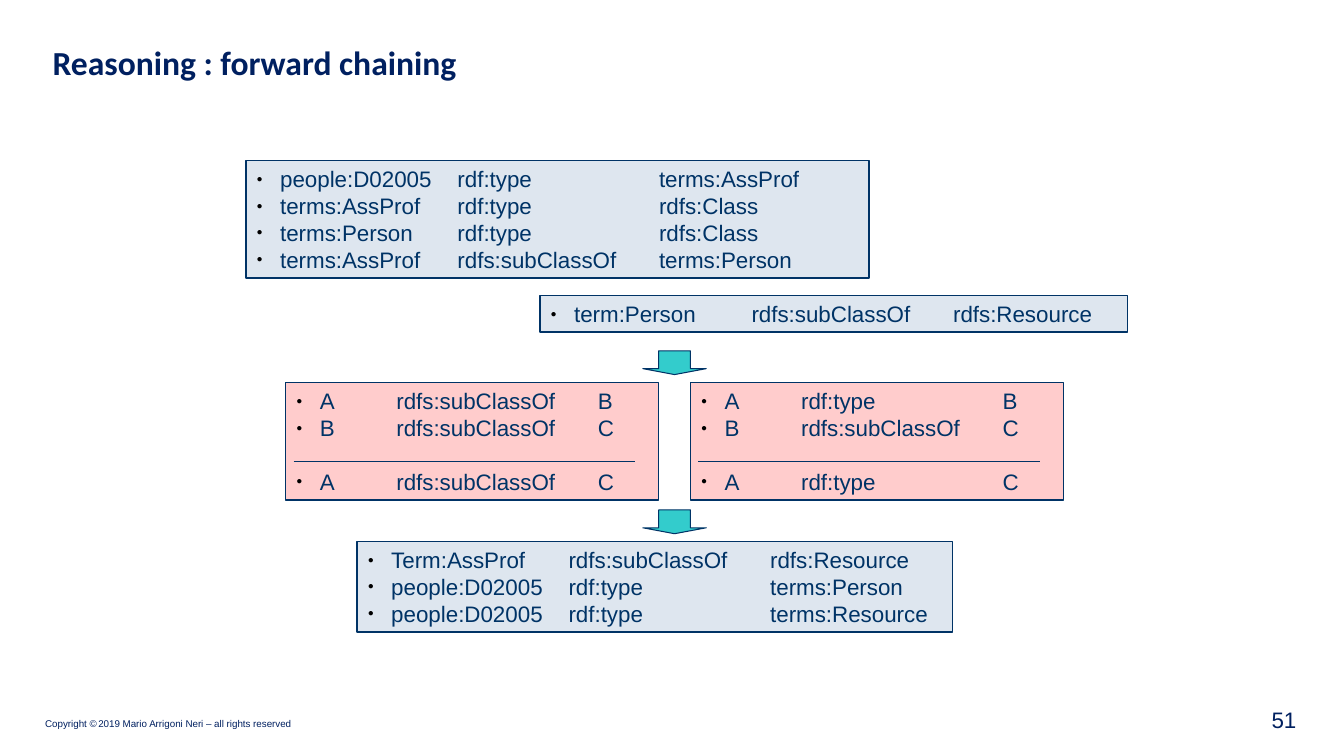
from lxml import etree
from pptx import Presentation
from pptx.dml.color import RGBColor
from pptx.enum.shapes import MSO_CONNECTOR, MSO_SHAPE
from pptx.enum.text import MSO_ANCHOR as ANCHOR, MSO_AUTO_SIZE as AUTO, PP_ALIGN as ALIGN
from pptx.oxml.ns import qn
from pptx.util import Cm, Pt

# Content: all lengths in cm
TITLE = "Reasoning : forward chaining"
FOOTER = [("Copyright ©", 7), (" ", 4), ("2019 Mario Arrigoni Neri – all rights reserved", 7)]
PAGE = "51"
NAVY, INK, BLUE, PINK, TEAL = "002060", "003366", "DEE6EF", "FFCCCC", "33CCCC"

# Triples: left, top, width, lines
TRIPLES = [
    (6.2, 4.04, 15.7, [
        "people:D02005\trdf:type\t\tterms:AssProf",
        "terms:AssProf\trdf:type\t\trdfs:Class",
        "terms:Person\trdf:type\t\trdfs:Class",
        "terms:AssProf\trdfs:subClassOf\tterms:Person"]),
    (13.61, 7.44, 14.8, ["term:Person\trdfs:subClassOf\trdfs:Resource"]),
    (9.0, 13.64, 15.0, [
        "Term:AssProf\trdfs:subClassOf\trdfs:Resource",
        "people:D02005\trdf:type\t\tterms:Person",
        "people:D02005\trdf:type\t\tterms:Resource"]),
]
# Rules: two premises, then the conclusion
RULES = [
    (7.2, ["A\trdfs:subClassOf\tB", "B\trdfs:subClassOf\tC", "A\trdfs:subClassOf\tC"]),
    (17.4, ["A\trdf:type\t\tB", "B\trdfs:subClassOf\tC", "A\trdf:type\t\tC"]),
]
RULE_TOP, RULE_W = 9.64, 9.4
ARROW_LEFT, ARROW_TOPS = 16.2, [8.84, 12.85]
LINE_PT = 19.2
LINE_CM = LINE_PT / 72 * 2.54

prs = Presentation()
prs.slide_width, prs.slide_height = Cm(33.87), Cm(19.05)
slide = prs.slides.add_slide(prs.slide_layouts[5])
shapes = slide.shapes


def rgb(value):
    return RGBColor.from_string(value)


def style_run(r, size, color=NAVY, font="Arial", bold=False):
    r.font.size, r.font.name, r.font.bold = Pt(size), font, bold
    r.font.color.rgb = rgb(color)


def style_shape(sp, fill, line_pt):
    sp.shadow.inherit = False
    sp.fill.solid()
    sp.fill.fore_color.rgb = rgb(fill)
    sp.line.color.rgb = rgb(INK)
    sp.line.width = Pt(line_pt)


def add_bullet(p):
    pPr = p._p.get_or_add_pPr()
    for name, value in (("marL", Cm(0.61)), ("indent", Cm(-0.59)), ("defTabSz", Cm(2.54))):
        pPr.set(name, str(int(value)))
    color = etree.SubElement(pPr, qn("a:buClr"))
    etree.SubElement(color, qn("a:srgbClr"), val="000000")
    etree.SubElement(pPr, qn("a:buSzPct"), val="45000")
    etree.SubElement(pPr, qn("a:buFont"), typeface="Arial")
    etree.SubElement(pPr, qn("a:buChar"), char="●")


def add_box(left, top, width, lines, fill, gap_before_last=0):
    height = 0.254 + LINE_CM * (len(lines) + gap_before_last)
    sp = shapes.add_shape(MSO_SHAPE.RECTANGLE, Cm(left), Cm(top), Cm(width), Cm(height))
    style_shape(sp, fill, 1)
    tf = sp.text_frame
    tf.word_wrap, tf.vertical_anchor = True, ANCHOR.TOP
    tf.text = "\n".join(lines)
    for p in tf.paragraphs:
        add_bullet(p)
        p.alignment, p.line_spacing = ALIGN.LEFT, Pt(LINE_PT)
        style_run(p.runs[0], 16, INK)
    if gap_before_last:
        tf.paragraphs[-1].space_before = Pt(LINE_PT * gap_before_last)


# Title
title = shapes.title
title.left, title.top, title.width, title.height = Cm(1.07), Cm(0.94), Cm(31.78), Cm(1.65)
tf = title.text_frame
tf.text = TITLE
tf.auto_size, tf.vertical_anchor = AUTO.NONE, ANCHOR.TOP
tf.paragraphs[0].alignment = ALIGN.LEFT
style_run(tf.paragraphs[0].runs[0], 24, font="Calibri", bold=True)

# Known and derived triples
for left, top, width, lines in TRIPLES:
    add_box(left, top, width, lines, BLUE)

# Inference rules, each with a bar above its conclusion
for left, lines in RULES:
    add_box(left, RULE_TOP, RULE_W, lines, PINK, gap_before_last=1)
    y = Cm(RULE_TOP + 1.99)
    bar = shapes.add_connector(MSO_CONNECTOR.STRAIGHT, Cm(left + 0.2), y, Cm(left + 8.8), y)
    bar.line.color.rgb = rgb(INK)
    bar.line.width = Pt(0.75)
    etree.SubElement(bar._element.spPr, qn("a:effectLst"))

# Arrows between the steps
for top in ARROW_TOPS:
    arrow = shapes.add_shape(MSO_SHAPE.DOWN_ARROW, Cm(ARROW_LEFT), Cm(top), Cm(1.6), Cm(0.6))
    arrow.adjustments[0], arrow.adjustments[1] = 0.5, 0.25
    style_shape(arrow, TEAL, 0.75)

# Copyright line
tf = shapes.add_textbox(Cm(1.09), Cm(18.01), Cm(6.32), Cm(0.41)).text_frame
tf.margin_left = tf.margin_right = tf.margin_top = tf.margin_bottom = Cm(0.05)
tf.word_wrap, tf.vertical_anchor = False, ANCHOR.BOTTOM
for text, size in FOOTER:
    r = tf.paragraphs[0].add_run()
    r.text = text
    style_run(r, size)

# Page number
tf = shapes.add_textbox(Cm(31.52), Cm(17.68), Cm(1.4), Cm(0.89)).text_frame
tf.text = PAGE
tf.word_wrap, tf.vertical_anchor = True, ANCHOR.MIDDLE
tf.paragraphs[0].alignment = ALIGN.RIGHT
style_run(tf.paragraphs[0].runs[0], 16)

prs.save("out.pptx")
